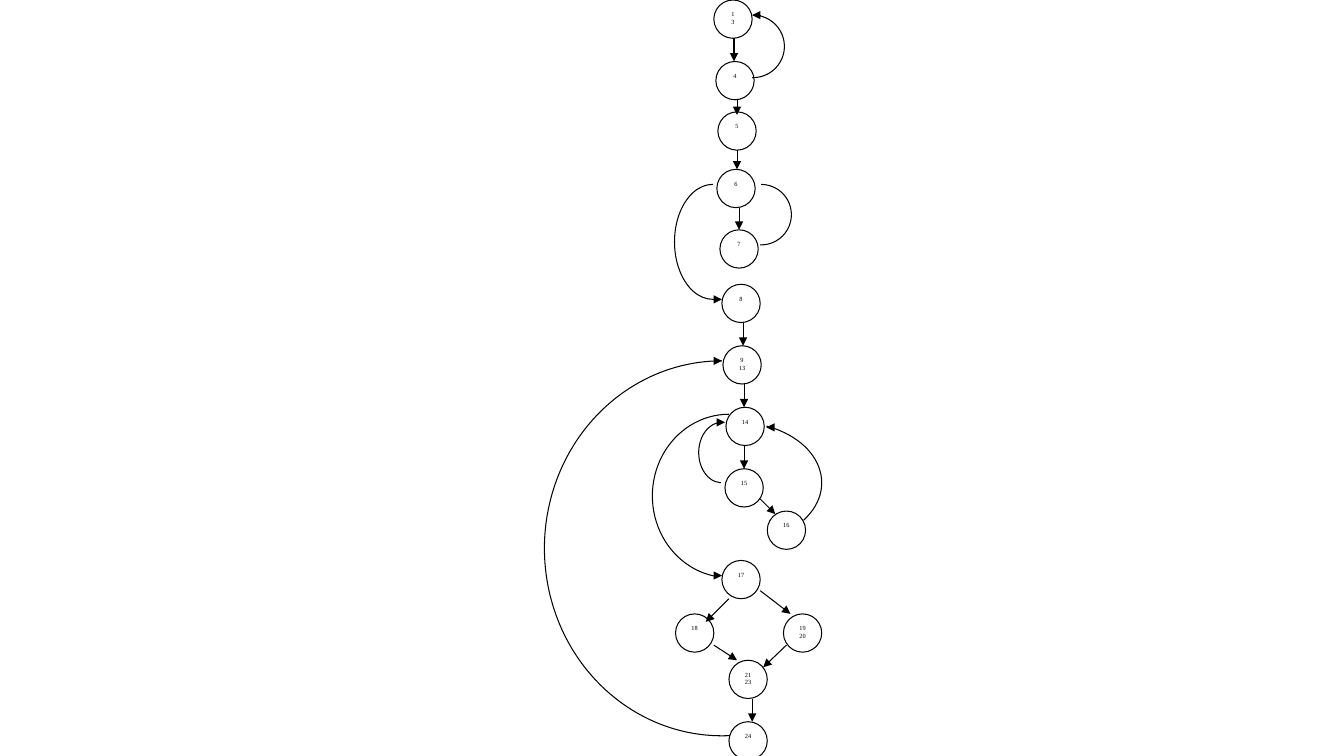
from typing import NamedTuple

from lxml.etree import SubElement
from pptx import Presentation
from pptx.dml.color import RGBColor
from pptx.enum.shapes import MSO_CONNECTOR, MSO_SHAPE
from pptx.enum.text import MSO_ANCHOR, PP_ALIGN
from pptx.oxml.ns import qn
from pptx.slide import Slide
from pptx.util import Inches, Pt

BLACK = RGBColor(0x00, 0x00, 0x00)
WHITE = RGBColor(0xFF, 0xFF, 0xFF)
FONT = "Times New Roman"
FONT_SIZE = Pt(4.5)
LINE_WIDTH = Pt(0.75)
DIAMETER = 0.38


class Node(NamedTuple):
    left: float
    top: float
    lines: tuple[str, ...]


class Loop(NamedTuple):
    center_x: float
    center_y: float
    radius_x: float
    radius_y: float
    start_degrees: float
    end_degrees: float


class Arrow(NamedTuple):
    x1: float
    y1: float
    x2: float
    y2: float


NODES = [
    Node(7.08, 0, ("1", "3")),
    Node(7.1, 0.61, ("4",)),
    Node(7.12, 1.11, ("5",)),
    Node(7.11, 1.68, ("6",)),
    Node(7.14, 2.28, ("7",)),
    Node(7.16, 2.82, ("8",)),
    Node(7.17, 3.43, ("9 13",)),
    Node(7.2, 4.04, ("14",)),
    Node(7.19, 4.65, ("15",)),
    Node(7.61, 5.07, ("16",)),
    Node(7.16, 5.56, ("17",)),
    Node(6.7, 6.09, ("18",)),
    Node(7.77, 6.09, ("19 20",)),
    Node(7.23, 6.55, ("21", "23")),
    Node(7.23, 7.16, ("24",)),
]

LOOPS = [
    Loop(7.47, 0.46, 0.31, 0.31, 270, 92),
    Loop(7.55, 2.13, 0.3, 0.3, 270, 92),
    Loop(7.07, 2.4, 0.38, 0.57, 89, 270),
    Loop(7.16, 4.49, 0.23, 0.3, 92, 270),
    Loop(7.31, 4.79, 0.84, 0.6, 297.4, 29.3),
    Loop(7.23, 4.92, 0.76, 0.81, 98.6, 270),
    Loop(7.16, 5.44, 1.76, 1.86, 87.5, 270),
]

ARROWS = [
    Arrow(7.28, 0.38, 7.28, 0.61),
    Arrow(7.31, 0.99, 7.31, 1.14),
    Arrow(7.31, 1.49, 7.31, 1.68),
    Arrow(7.33, 2.06, 7.33, 2.28),
    Arrow(7.37, 3.2, 7.37, 3.43),
    Arrow(7.38, 3.81, 7.38, 4.04),
    Arrow(7.38, 4.42, 7.38, 4.65),
    Arrow(7.54, 4.95, 7.69, 5.1),
    Arrow(7.23, 5.94, 7, 6.17),
    Arrow(7.54, 5.86, 7.84, 6.09),
    Arrow(7.08, 6.4, 7.31, 6.55),
    Arrow(7.8, 6.4, 7.57, 6.62),
    Arrow(7.46, 6.93, 7.46, 7.16),
    Arrow(7.54, 0.15, 7.46, 0.15),
    Arrow(7.08, 2.97, 7.16, 2.97),
    Arrow(7.08, 3.58, 7.16, 3.58),
    Arrow(7.12, 4.19, 7.19, 4.19),
    Arrow(7.67, 4.24, 7.6, 4.24),
    Arrow(7.08, 5.71, 7.16, 5.71),
]


def draw_node(slide: Slide, node: Node) -> None:
    circle = slide.shapes.add_shape(
        MSO_SHAPE.OVAL, Inches(node.left), Inches(node.top), Inches(DIAMETER), Inches(DIAMETER)
    )
    circle.shadow.inherit = False
    circle.fill.solid()
    circle.fill.fore_color.rgb = WHITE
    circle.line.color.rgb = BLACK
    circle.line.width = LINE_WIDTH
    label = circle.text_frame
    label.word_wrap = True
    label.vertical_anchor = MSO_ANCHOR.TOP
    label.margin_left = label.margin_right = Inches(0.09)
    label.margin_top = label.margin_bottom = Inches(0.05)
    for index, line in enumerate(node.lines):
        paragraph = label.add_paragraph() if index else label.paragraphs[0]
        paragraph.alignment = PP_ALIGN.CENTER
        run = paragraph.add_run()
        run.text = line
        run.font.name = FONT
        run.font.size = FONT_SIZE
        run.font.color.rgb = BLACK


def draw_loop(slide: Slide, loop: Loop) -> None:
    arc = slide.shapes.add_shape(
        MSO_SHAPE.ARC,
        Inches(loop.center_x - loop.radius_x),
        Inches(loop.center_y - loop.radius_y),
        Inches(2 * loop.radius_x),
        Inches(2 * loop.radius_y),
    )
    arc.adjustments[0] = loop.start_degrees * 0.6
    arc.adjustments[1] = loop.end_degrees * 0.6
    arc.shadow.inherit = False
    arc.fill.background()
    arc.line.color.rgb = BLACK
    arc.line.width = LINE_WIDTH


def draw_arrow(slide: Slide, arrow: Arrow) -> None:
    edge = slide.shapes.add_connector(
        MSO_CONNECTOR.STRAIGHT,
        Inches(arrow.x1), Inches(arrow.y1), Inches(arrow.x2), Inches(arrow.y2),
    )
    edge.line.color.rgb = BLACK
    edge.line.width = LINE_WIDTH
    SubElement(edge.line._get_or_add_ln(), qn("a:tailEnd"), type="triangle")
    SubElement(edge._element.spPr, qn("a:effectLst"))


def main() -> None:
    presentation = Presentation()
    presentation.slide_width = Inches(13.33)
    presentation.slide_height = Inches(7.5)
    slide = presentation.slides.add_slide(presentation.slide_layouts[6])
    for node in NODES:
        draw_node(slide, node)
    for loop in LOOPS:
        draw_loop(slide, loop)
    for arrow in ARROWS:
        draw_arrow(slide, arrow)
    presentation.save("out.pptx")


if __name__ == "__main__":
    main()
